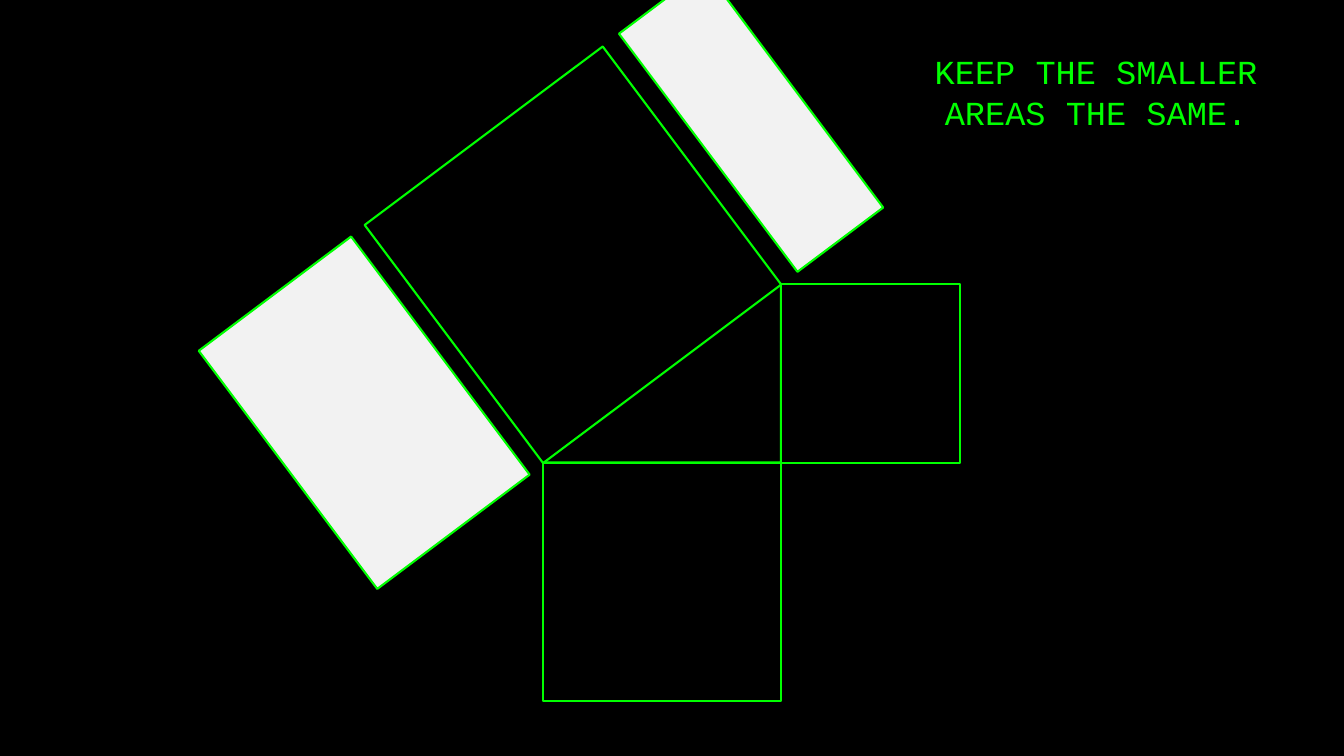
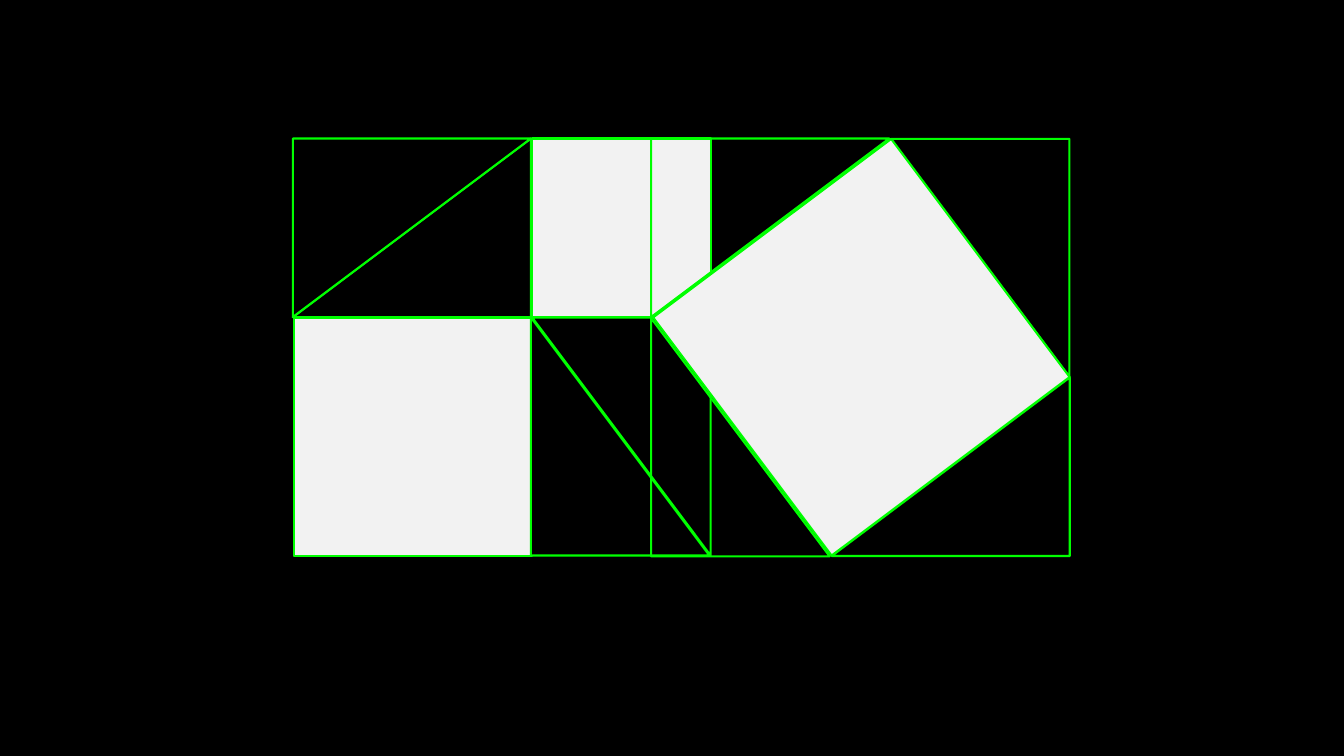
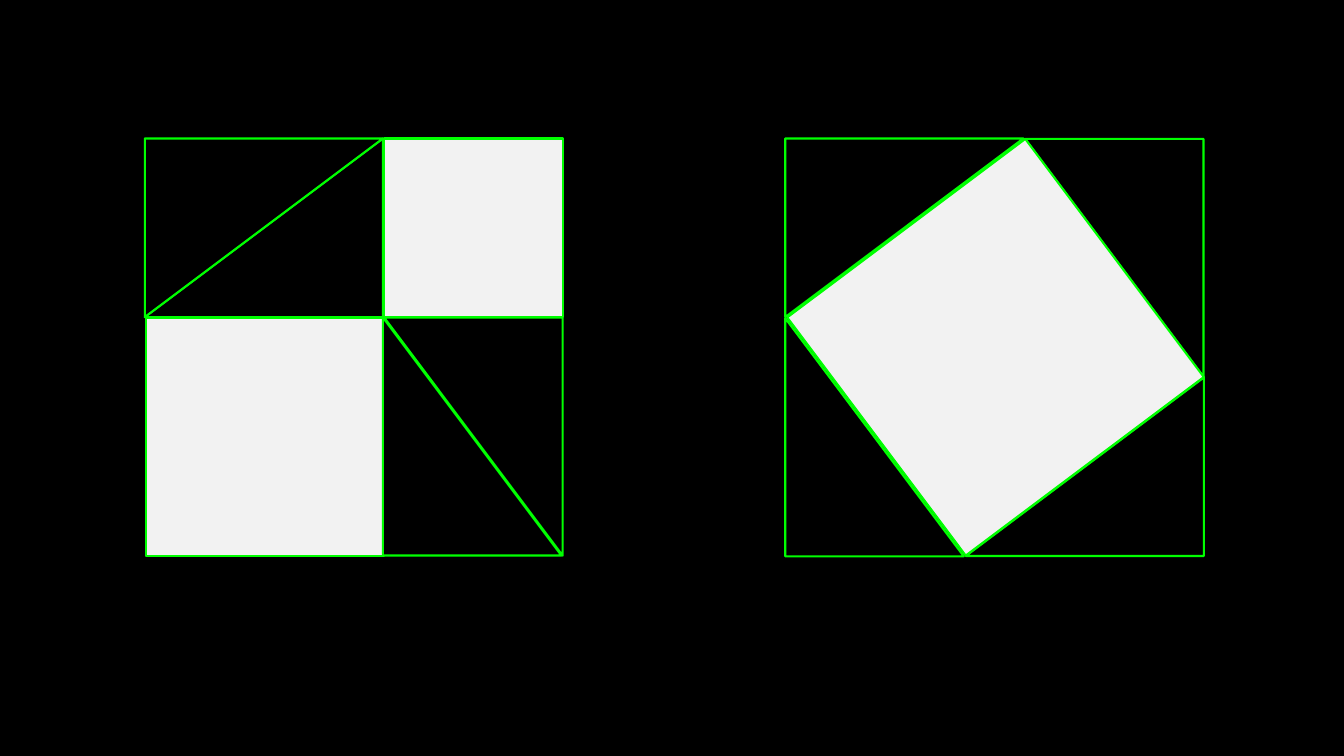
from math import atan2, degrees

from pptx import Presentation
from pptx.dml.color import RGBColor
from pptx.enum import shapes, text
from pptx.util import Cm, Pt

BLACK = RGBColor(0x00, 0x00, 0x00)
GREEN = RGBColor(0x00, 0xFF, 0x00)
PALE = RGBColor(0xF2, 0xF2, 0xF2)
FONT = "Courier New"

# Sides of the right triangle, in centimetres
SHORT, LONG, HYPOTENUSE = 4.5, 6, 7.5
TILT = -degrees(atan2(SHORT, LONG))
FIGURE_TOP = 3.49


class Deck:
    def __init__(self):
        self.prs = Presentation()
        self.prs.slide_width, self.prs.slide_height = Cm(33.87), Cm(19.05)
        self.slide = None

    def new_slide(self):
        self.slide = self.prs.slides.add_slide(self.prs.slide_layouts[6])
        background = self.slide.background.fill
        background.solid()
        background.fore_color.rgb = BLACK

    def outlined(self, kind, left, top, width, height, fill, rotation=0):
        """Add a green-edged shape; a fill of None leaves it see-through."""
        shape = self.slide.shapes.add_shape(
            kind, Cm(left), Cm(top), Cm(width), Cm(height))
        shape.shadow.inherit = False
        shape.rotation = rotation
        shape.line.color.rgb = GREEN
        shape.line.width = Pt(1.5)
        if fill is None:
            shape.fill.background()
        else:
            shape.fill.solid()
            shape.fill.fore_color.rgb = fill

    def rectangle(self, left, top, width, height, fill, rotation=0):
        self.outlined(shapes.MSO_SHAPE.RECTANGLE,
                      left, top, width, height, fill, rotation)

    def square(self, left, top, side, fill, rotation=0):
        self.rectangle(left, top, side, side, fill, rotation)

    def triangle(self, left, top, rotation, fill=BLACK):
        """Place the triangle by the corner of its box after turning."""
        if rotation in (90, 270):
            shift = (LONG - SHORT) / 2
            left, top = left + shift, top - shift
        self.outlined(shapes.MSO_SHAPE.RIGHT_TRIANGLE,
                      left, top, SHORT, LONG, fill, rotation)

    def caption(self, wording, left, top, width, height):
        frame = self.slide.shapes.add_textbox(
            Cm(left), Cm(top), Cm(width), Cm(height)).text_frame
        frame.word_wrap = True
        frame.auto_size = text.MSO_AUTO_SIZE.SHAPE_TO_FIT_TEXT
        frame.text = wording
        paragraph = frame.paragraphs[0]
        paragraph.alignment = text.PP_ALIGN.CENTER
        font = paragraph.runs[0].font
        font.name, font.size = FONT, Pt(24)
        font.color.rgb = GREEN

    def two_squares(self, left, top=FIGURE_TOP):
        """Four triangles around the squares on the two legs."""
        self.triangle(left, top, 270)
        self.square(left + 6.03, top, SHORT, PALE)
        self.square(left + 0.02, top + 4.53, LONG, PALE)
        self.triangle(left + 6, top + 4.51, 0)
        self.triangle(left, top, 90)
        self.triangle(left + 6.03, top + 4.51, 180)

    def tilted_square(self, left, triangle_fill, top=FIGURE_TOP):
        """Four triangles around the square on the hypotenuse."""
        for across, down, rotation in ((4.55, 6.02, 270), (0, 4.53, 0),
                                       (0, 0, 90), (6.04, 0.01, 180)):
            self.triangle(left + across, top + down, rotation, triangle_fill)
        self.square(left + 1.55, top + 1.51, HYPOTENUSE, PALE, TILT)


def main():
    deck = Deck()

    deck.new_slide()
    deck.triangle(13.68, 7.15, 270)
    deck.square(19.69, 7.16, SHORT, BLACK)
    deck.square(13.69, 11.66, LONG, BLACK)
    deck.square(10.69, 2.67, HYPOTENUSE, BLACK, TILT)
    # Each strip has the area of the square on one leg
    for left, top, leg in ((17.58, -0.71, SHORT), (6.78, 6.65, LONG)):
        deck.rectangle(left, top, leg ** 2 / HYPOTENUSE, HYPOTENUSE, PALE, TILT)
    deck.caption("KEEP THE SMALLER AREAS THE SAME.", 23.01, 1.17, 9.22, 2.31)

    for left_figure, right_figure, triangle_fill in ((7.38, 16.41, None),
                                                     (3.65, 19.79, BLACK)):
        deck.new_slide()
        deck.two_squares(left_figure)
        deck.tilted_square(right_figure, triangle_fill)

    deck.prs.save("out.pptx")


if __name__ == "__main__":
    main()
